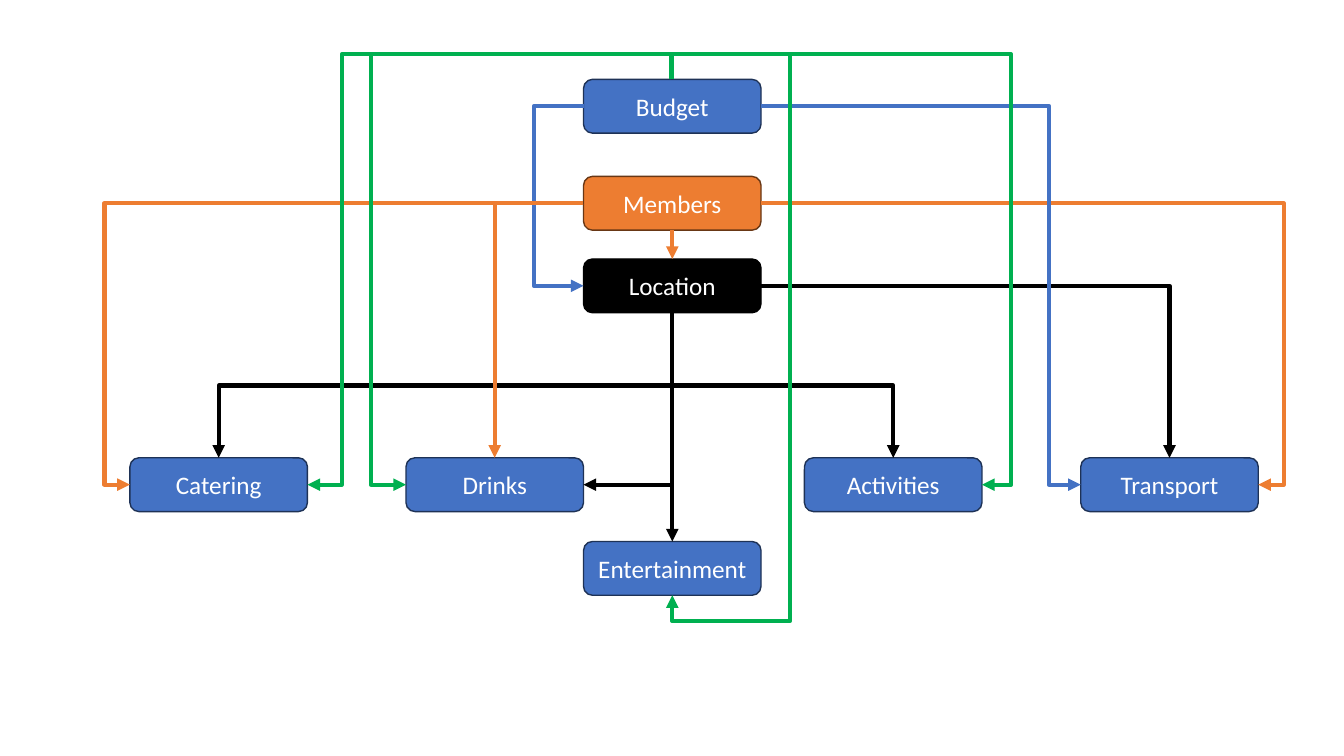
from lxml import etree
from pptx import Presentation
from pptx.dml.color import RGBColor
from pptx.enum import shapes as sh, text as tx
from pptx.oxml import ns
from pptx.util import Pt

BLUE = RGBColor(0x44, 0x72, 0xC4)
NAVY = RGBColor(0x1E, 0x32, 0x56)
ORANGE = RGBColor(0xED, 0x7D, 0x31)
BROWN = RGBColor(0x68, 0x37, 0x15)
BLACK = RGBColor(0, 0, 0)
GREEN = RGBColor(0x00, 0xB0, 0x50)
WHITE = RGBColor(0xFF, 0xFF, 0xFF)

WIDE, HIGH = 126.8, 38.4
MID, ROW = 416.8, 327
TOP, LEFT, BOTTOM, RIGHT = range(4)
SHIFT = 0.7  # small offset that gives a same-column route some width

# label, left, top, fill, outline
BOXES = [
    ("Budget", MID, 56.7, BLUE, NAVY),
    ("Members", MID, 126, ORANGE, BROWN),
    ("Location", MID, 185, BLACK, BLACK),
    ("Transport", 772, ROW, BLUE, NAVY),
    ("Activities", 574.6, ROW, BLUE, NAVY),
    ("Catering", 92.8, ROW, BLUE, NAVY),
    ("Drinks", MID - WIDE, ROW, BLUE, NAVY),
    ("Entertainment", MID, 386.8, BLUE, NAVY),
]


def add_box(slide, label, left, top, fill, edge):
    box = slide.shapes.add_shape(
        sh.MSO_SHAPE.ROUNDED_RECTANGLE, Pt(left), Pt(top), Pt(WIDE), Pt(HIGH))
    box.shadow.inherit = False
    box.fill.solid()
    box.fill.fore_color.rgb = fill
    box.line.color.rgb = edge
    box.line.width = Pt(1)
    frame = box.text_frame
    frame.vertical_anchor = tx.MSO_ANCHOR.MIDDLE
    para = frame.paragraphs[0]
    para.alignment = tx.PP_ALIGN.CENTER
    run = para.add_run()
    run.text = label
    run.font.name = "Calibri"
    run.font.size = Pt(18)
    run.font.color.rgb = WHITE
    return box


def side(box, site):
    """Middle of one side of a box, in points."""
    x, y, w, h = box.left.pt, box.top.pt, box.width.pt, box.height.pt
    return [(x + w / 2, y), (x, y + h / 2),
            (x + w / 2, y + h), (x + w, y + h / 2)][site]


def style(link, color):
    link.line.color.rgb = color
    link.line.width = Pt(3)
    line = link.line._get_or_add_ln()
    etree.SubElement(line, ns.qn("a:tailEnd"), type="triangle")
    etree.SubElement(link._element.spPr, ns.qn("a:effectLst"))


def add_arrow(slide, start, end, color):
    """Straight arrow from the bottom of one box to the top of another."""
    link = slide.shapes.add_connector(sh.MSO_CONNECTOR.STRAIGHT, 0, 0, 0, 0)
    link.begin_connect(start, BOTTOM)
    link.end_connect(end, TOP)
    style(link, color)


def add_elbow(slide, start, out, end, into, color, bends=(), shift=0):
    """Bent arrow; bends are the turning lines, alternating between axes."""
    a, b = side(start, out), side(end, into)
    a = (a[0] + shift, a[1])
    span = (b[0] - a[0], b[1] - a[1])
    axis = 0 if out in (LEFT, RIGHT) else 1
    # the unrotated frame runs along the axis of the first leg
    w, h = abs(span[axis]), abs(span[1 - axis])
    x, y = (a[0] + b[0] - w) / 2, (a[1] + b[1] - h) / 2
    link = slide.shapes.add_connector(
        sh.MSO_CONNECTOR.ELBOW, Pt(x), Pt(y), Pt(x + w), Pt(y + h))
    props = link._element.spPr
    frame = props.find(ns.qn("a:xfrm"))
    if axis:
        frame.set("rot", str((90 if span[0] < 0 else 270) * 60000))
    if (span[0] < 0) != bool(axis):
        frame.set("flipH", "1")
    # turning points as shares of the span
    shape = props.find(ns.qn("a:prstGeom"))
    shape.set("prst", f"bentConnector{len(bends) + 2}")
    guides = shape.find(ns.qn("a:avLst"))
    for i, bend in enumerate(bends):
        k = (axis + i) % 2
        share = round((bend - a[k]) / span[k] * 100000)
        etree.SubElement(guides, ns.qn("a:gd"),
                         name=f"adj{i + 1}", fmla=f"val {share}")
    style(link, color)


def main():
    deck = Presentation()
    deck.slide_width, deck.slide_height = Pt(960), Pt(540)
    slide = deck.slides.add_slide(deck.slide_layouts[6])

    # Boxes
    box = {row[0]: add_box(slide, *row) for row in BOXES}
    money, group, place = box["Budget"], box["Members"], box["Location"]
    ride, acts, food = box["Transport"], box["Activities"], box["Catering"]
    drinks, fun = box["Drinks"], box["Entertainment"]

    # Links from back to front
    add_elbow(slide, money, LEFT, place, LEFT, BLUE, [381.8], SHIFT)
    add_elbow(slide, place, BOTTOM, food, TOP, BLACK, [275.4])
    add_arrow(slide, group, place, ORANGE)
    add_elbow(slide, group, LEFT, drinks, TOP, ORANGE)
    add_elbow(slide, group, LEFT, food, LEFT, ORANGE, [74.8])
    add_elbow(slide, group, RIGHT, ride, RIGHT, ORANGE, [916.8])
    add_elbow(slide, place, RIGHT, ride, TOP, BLACK)
    add_elbow(slide, money, RIGHT, ride, LEFT, BLUE, [749.4])
    add_elbow(slide, place, BOTTOM, acts, TOP, BLACK, [275.4])
    add_elbow(slide, place, BOTTOM, drinks, RIGHT, BLACK)
    add_arrow(slide, place, fun, BLACK)

    # Budget links that share one line above the boxes
    roof = 38.7
    add_elbow(slide, money, TOP, acts, RIGHT, GREEN, [roof, 722.2])
    add_elbow(slide, money, TOP, drinks, LEFT, GREEN, [roof, 265])
    add_elbow(slide, money, TOP, food, RIGHT, GREEN, [roof, 244.1])
    add_elbow(slide, money, TOP, fun, BOTTOM, GREEN, [roof, 563.2, 443.5],
              -SHIFT)
    deck.save("out.pptx")


if __name__ == "__main__":
    main()
